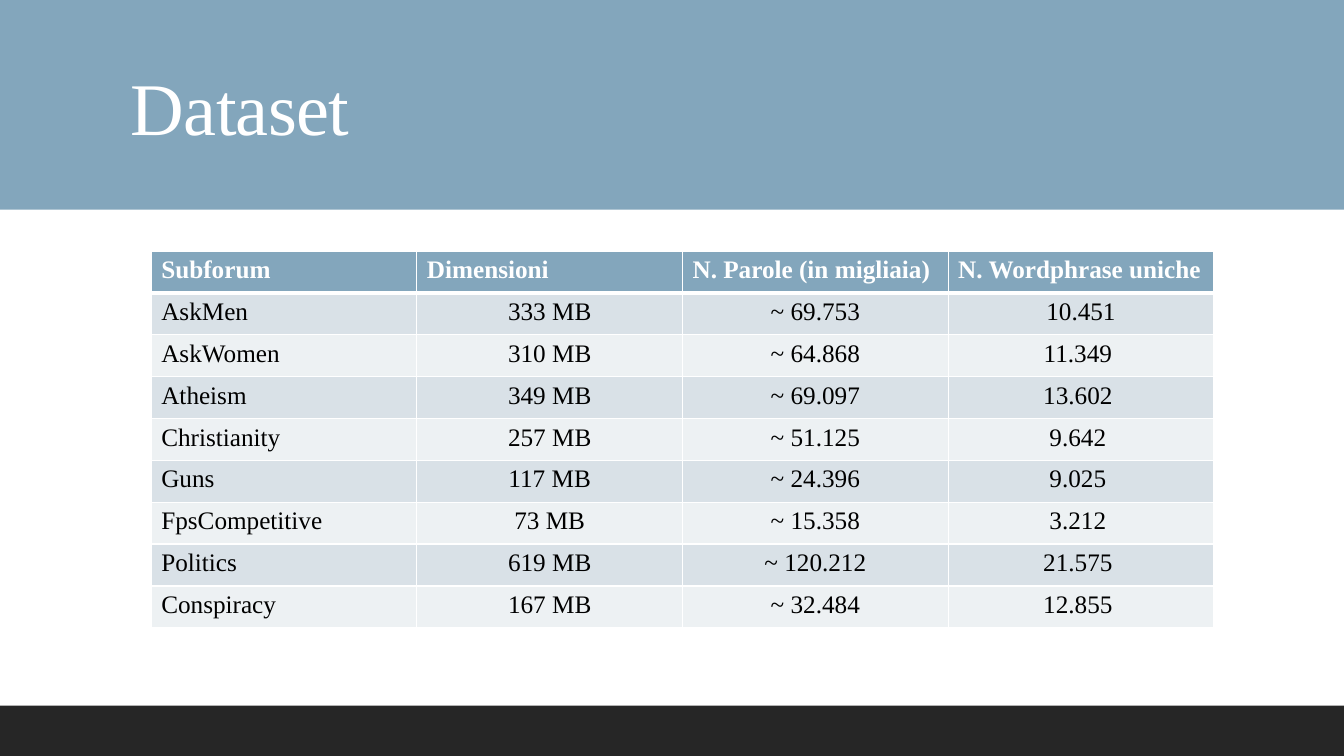
from lxml import etree
from pptx import Presentation, util as u
from pptx.dml.color import RGBColor
from pptx.enum import shapes, text
from pptx.oxml import ns

TITLE = "Dataset"
HEADINGS = ("Subforum", "Dimensioni", "N. Parole (in migliaia)", "N. Wordphrase uniche")
COMMUNITIES = [
    ("AskMen", "333 MB", "~ 69.753", "10.451"),
    ("AskWomen", "310 MB", "~ 64.868", "11.349 "),
    ("Atheism", "349 MB", "~ 69.097", "13.602 "),
    ("Christianity", "257 MB", "~ 51.125", "9.642 "),
    ("Guns", "117 MB", "~ 24.396", "9.025 "),
    ("FpsCompetitive", "73 MB", "~ 15.358", "3.212 "),
    ("Politics", "619 MB", "~ 120.212", "21.575 "),
    ("Conspiracy", "167 MB", "~ 32.484", "12.855 "),
]
FONT = "Times New Roman"
WHITE, BLACK, BLUE, DARK = "FFFFFF", "000000", "83A6BC", "262626"
STRIPES = ("D9E1E7", "EDF1F3")
WIDTH, HEIGHT = 13.33, 7.5


def paint(fill, color):
    fill.solid()
    fill.fore_color.rgb = RGBColor.from_string(color)


def style(run, size, color, bold=False):
    run.font.name = FONT
    run.font.size = u.Pt(size)
    run.font.bold = bold
    run.font.color.rgb = RGBColor.from_string(color)


def add_band(slide, top, height, color):
    band = slide.shapes.add_shape(
        shapes.MSO_SHAPE.RECTANGLE, 0, u.Inches(top), u.Inches(WIDTH), u.Inches(height))
    band.shadow.inherit = False
    paint(band.fill, color)
    band.line.fill.background()


def add_borders(cell, bottom):
    properties = cell._tc.get_or_add_tcPr()
    for side, points in (("L", 1), ("R", 1), ("T", 1), ("B", bottom)):
        edge = etree.SubElement(properties, ns.qn(f"a:ln{side}"), w=str(u.Pt(points)))
        solid = etree.SubElement(edge, ns.qn("a:solidFill"))
        etree.SubElement(solid, ns.qn("a:srgbClr"), val=WHITE)


def add_title(slide):
    box = slide.shapes.add_textbox(*map(u.Inches, (1.2, 0.31, 11, 1.59)))
    frame = box.text_frame
    frame.word_wrap = True
    frame.vertical_anchor = text.MSO_ANCHOR.MIDDLE
    frame.text = TITLE
    line = frame.paragraphs[0]
    line.line_spacing = 0.9
    style(line.runs[0], 53, WHITE)
    line.runs[0].font._element.set("spc", "-50")


def add_dataset(slide):
    rows = [HEADINGS, *COMMUNITIES]
    grid = slide.shapes.add_table(
        len(rows), len(HEADINGS), *map(u.Inches, (1.5, 2.49, 10.54, 3.74))).table
    grid.horz_banding = False
    for r, row in enumerate(rows):
        heading = r == 0
        for c, entry in enumerate(row):
            cell = grid.cell(r, c)
            add_borders(cell, 3 if heading else 1)
            paint(cell.fill, BLUE if heading else STRIPES[(r - 1) % 2])
            cell.text_frame.text = entry
            line = cell.text_frame.paragraphs[0]
            centred = c > 0 and not heading
            line.alignment = text.PP_ALIGN.CENTER if centred else text.PP_ALIGN.LEFT
            style(line.runs[0], 18, WHITE if heading else BLACK, heading)


def main():
    deck = Presentation()
    deck.slide_width, deck.slide_height = u.Inches(WIDTH), u.Inches(HEIGHT)
    slide = deck.slides.add_slide(deck.slide_layouts[6])
    add_band(slide, 0, 2.08, BLUE)
    add_title(slide)
    add_band(slide, 7, 0.5, DARK)
    add_dataset(slide)
    deck.save("out.pptx")


if __name__ == "__main__":
    main()
